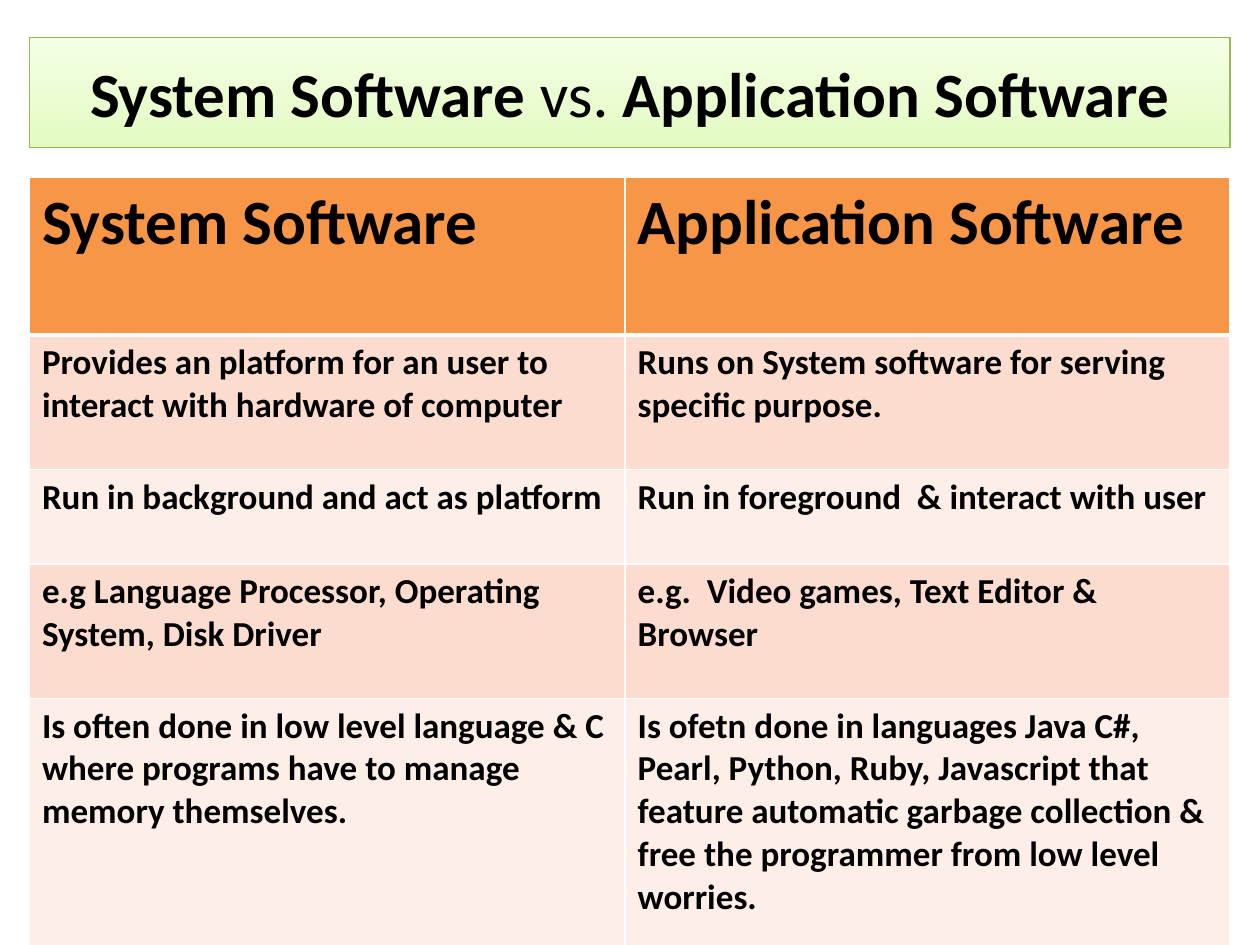
from lxml import etree
from pptx import Presentation
from pptx.dml.color import RGBColor
from pptx.enum.text import MSO_ANCHOR, MSO_AUTO_SIZE, PP_ALIGN
from pptx.oxml.ns import qn
from pptx.util import Pt

CENTER = PP_ALIGN.CENTER
MIDDLE = MSO_ANCHOR.MIDDLE
NO_AUTOFIT = MSO_AUTO_SIZE.NONE
LEFT, WIDTH = 16.8, 686
COLUMN_WIDTHS = [340.4, 345.6]
ROW_HEIGHTS = [90, 76.8, 54, 76.8, 147]
BANDS = ["FDEEE8", "FBDCCF"]
COMPARISON = [
    ("System Software", "Application Software"),
    ("Provides an platform for an user to interact with hardware of computer",
     "Runs on System software for serving specific purpose."),
    ("Run in background and act as platform",
     "Run in foreground  & interact with user"),
    ("e.g Language Processor, Operating System, Disk Driver",
     "e.g.  Video games, Text Editor & Browser"),
    ("Is often done in low level language & C where programs have to manage "
     "memory themselves.",
     "Is ofetn done in languages Java C#, Pearl, Python, Ruby, Javascript that "
     "feature automatic garbage collection &  free the programmer from low "
     "level worries."),
]


def color(hex_string):
    return RGBColor.from_string(hex_string)


def add_border(cell, side, width):
    line = etree.SubElement(cell._tc.get_or_add_tcPr(), qn(f"a:ln{side}"), w=str(Pt(width)))
    fill = etree.SubElement(line, qn("a:solidFill"))
    etree.SubElement(fill, qn("a:srgbClr"), val="FFFFFF")


prs = Presentation()
prs.slide_width, prs.slide_height = Pt(720), Pt(540)
slide = prs.slides.add_slide(prs.slide_layouts[5])

heading = slide.shapes.title
heading.left, heading.top = Pt(LEFT), Pt(21.6)
heading.width, heading.height = Pt(WIDTH), Pt(62.6)
heading.fill.gradient()
heading.fill.gradient_angle = 90
for stop, shade, position in zip(heading.fill.gradient_stops, ["E3FBC2", "F4FFE6"], [0, 1]):
    stop.color.rgb = color(shade)
    stop.position = position
heading.line.color.rgb = color("98B855")
heading.line.width = Pt(0.75)
heading.text_frame.auto_size = NO_AUTOFIT
heading.text_frame.vertical_anchor = MIDDLE
heading_line = heading.text_frame.paragraphs[0]
heading_line.alignment = CENTER
heading_line.font.name = "Calibri"
heading_line.font.size = Pt(36)
heading_line.font.color.rgb = color("000000")
for words, bold in [("System Software ", True), ("vs. ", False), ("Application Software", True)]:
    run = heading_line.add_run()
    run.text = words
    run.font.bold = bold

comparison = slide.shapes.add_table(
    len(COMPARISON), len(COLUMN_WIDTHS), Pt(LEFT), Pt(101.5), Pt(WIDTH), Pt(sum(ROW_HEIGHTS))
).table
for column, width in zip(comparison.columns, COLUMN_WIDTHS):
    column.width = Pt(width)
for r, (height, entries) in enumerate(zip(ROW_HEIGHTS, COMPARISON)):
    comparison.rows[r].height = Pt(height)
    for c, entry in enumerate(entries):
        cell = comparison.cell(r, c)
        for side in "LRTB":
            header_edge = (r, side) in [(0, "B"), (1, "T")]
            add_border(cell, side, 3 if header_edge else 0.96)
        cell.fill.solid()
        cell.fill.fore_color.rgb = color(BANDS[r % 2] if r else "F79646")
        cell.text = entry
        font = cell.text_frame.paragraphs[0].font
        font.name = "Calibri"
        font.size = Pt(20 if r else 36)
        font.bold = True
        font.color.rgb = color("000000")

prs.save("out.pptx")
